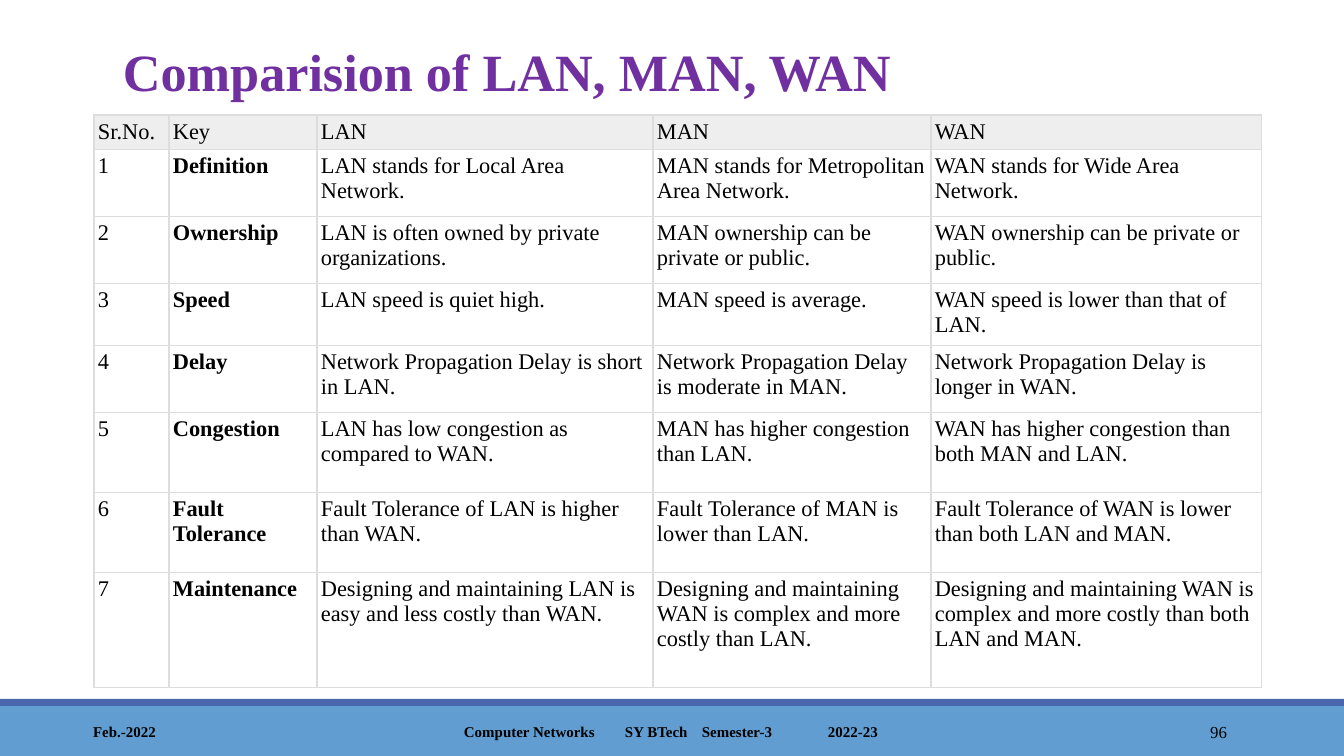
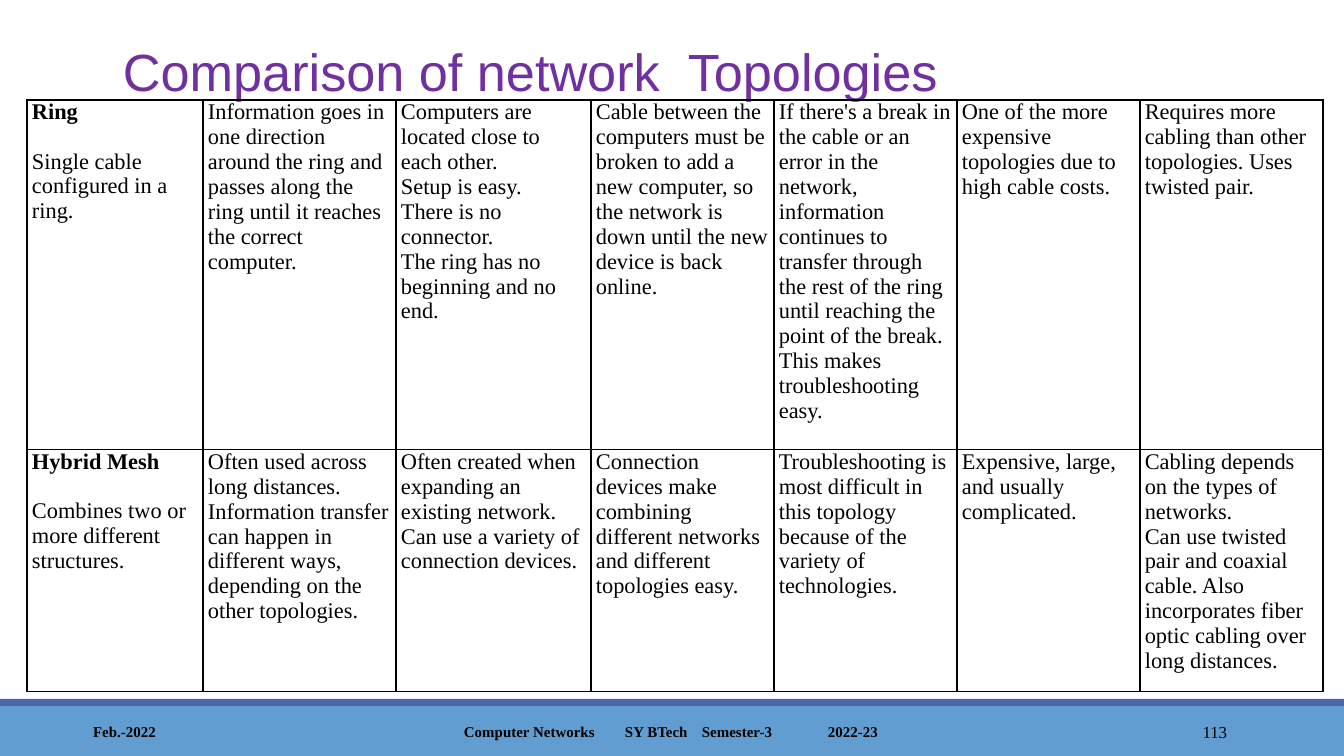
from lxml import etree
from pptx import Presentation
from pptx.dml.color import RGBColor
from pptx.enum.shapes import MSO_SHAPE
from pptx.enum.text import MSO_ANCHOR, MSO_AUTO_SIZE, PP_ALIGN
from pptx.oxml.ns import qn
from pptx.util import Emu, Pt

RECT = MSO_SHAPE.RECTANGLE
TOP, MIDDLE = MSO_ANCHOR.TOP, MSO_ANCHOR.MIDDLE
LEFT, RIGHT = PP_ALIGN.LEFT, PP_ALIGN.RIGHT
FIXED = MSO_AUTO_SIZE.NONE

SERIF, SANS = "Times New Roman", "Arial"
BLACK, PURPLE, GREY = "000000", "7030A0", "EEEEEE"
BANDS = [((0, 706, 1344, 50), "629DD1"), ((0, 699, 1344, 7), "4A66AC")]
TITLE = (114, 34, 1124, 125)
FOOT = (0, 712, 1344, 40)
STOPS = (161, 238, 364)
COURSE = "Computer Networks\tSY BTech\tSemester-3\t2022-23"

AREAS = [
    ["Sr.No.", "Key", "LAN", "MAN", "WAN"],
    ["1", "Definition", "LAN stands for Local Area Network.",
     "MAN stands for Metropolitan Area Network.",
     "WAN stands for Wide Area Network."],
    ["2", "Ownership", "LAN is often owned by private organizations.",
     "MAN ownership can be private or public.",
     "WAN ownership can be private or public."],
    ["3", "Speed", "LAN speed is quiet high.", "MAN speed is average.",
     "WAN speed is lower than that of LAN."],
    ["4", "Delay", "Network Propagation Delay is short in LAN.",
     "Network Propagation Delay is moderate in MAN.",
     "Network Propagation Delay is longer in WAN."],
    ["5", "Congestion", "LAN has low congestion as compared to WAN.",
     "MAN has higher congestion than LAN.",
     "WAN has higher congestion than both MAN and LAN."],
    ["6", "Fault Tolerance", "Fault Tolerance of LAN is higher than WAN.",
     "Fault Tolerance of MAN is lower than LAN.",
     "Fault Tolerance of WAN is lower than both LAN and MAN."],
    ["7", "Maintenance",
     "Designing and maintaining LAN is easy and less costly than WAN.",
     "Designing and maintaining WAN is complex and more costly than LAN.",
     "Designing and maintaining WAN is complex and more costly than both "
     "LAN and MAN."],
]

SHAPES = [
    ["Ring\nSingle cable configured in a ring.",
     "Information goes in one direction around the ring and passes along "
     "the ring until it reaches the correct computer.",
     "Computers are located close to each other.\nSetup is easy.\n"
     "There is no connector.\nThe ring has no beginning and no end.",
     "Cable between the computers must be broken to add a new computer, so "
     "the network is down until the new device is back online.",
     "If there's a break in the cable or an error in the network, "
     "information continues to transfer through the rest of the ring until "
     "reaching the point of the break. This makes troubleshooting easy.",
     "One of the more expensive topologies due to high cable costs.",
     "Requires more cabling than other topologies. Uses twisted pair."],
    ["Hybrid Mesh\nCombines two or more different structures.",
     "Often used across long distances. Information transfer can happen in "
     "different ways, depending on the other topologies.",
     "Often created when expanding an existing network. Can use a variety "
     "of connection devices.",
     "Connection devices make combining different networks and different "
     "topologies easy.",
     "Troubleshooting is most difficult in this topology because of the "
     "variety of technologies.",
     "Expensive, large, and usually complicated.",
     "Cabling depends on the types of networks.\nCan use twisted pair and "
     "coaxial cable. Also incorporates fiber optic cabling over long "
     "distances."],
]


def px(n):
    return Emu(round(n * 914400 / 134.4))


def hue(code):
    return RGBColor.from_string(code)


def style(para, size, face=SERIF, color=BLACK, bold=False):
    font = para.font
    font.size, font.name, font.bold = Pt(size), face, bold
    font.color.rgb = hue(color)


def inset(item, side, edge):
    item.margin_left = item.margin_right = px(side)
    item.margin_top = item.margin_bottom = px(edge)


def bands(slide, layout):
    for place, (box, color) in enumerate(BANDS, 2):
        bar = slide.shapes.add_shape(RECT, *map(px, box))
        bar.shadow.inherit = False
        bar.fill.solid()
        bar.fill.fore_color.rgb = hue(color)
        bar.line.fill.background()
        layout.shapes.element.insert(place, bar.element)


def head(slide, box, text, face, bold):
    title = slide.shapes.title
    title.left, title.top, title.width, title.height = map(px, box)
    frame = title.text_frame
    frame.text = text
    frame.auto_size = FIXED
    frame.word_wrap = True
    frame.vertical_anchor = TOP
    inset(frame, 9, 5)
    para = frame.paragraphs[0]
    para.alignment = LEFT
    style(para, 28, face, PURPLE, bold)


def label(slide, box, text, size, bold, align=LEFT):
    frame = slide.shapes.add_textbox(*map(px, box)).text_frame
    frame.word_wrap = True
    frame.vertical_anchor = MIDDLE
    inset(frame, 9, 5)
    para = frame.paragraphs[0]
    para.text = text
    para.alignment = align
    return frame, para, size, bold


def foot(slide, box, number):
    x, y, _, high = box
    date = label(slide, (x + 84, y, 302, high), "Feb.-2022", 8, True)
    course = label(slide, (x + 406, y, 532, high), COURSE, 8, True)
    page = label(slide, (x + 1092, y, 144, high), number, 9, False, RIGHT)
    frame, para = course[:2]
    frame.margin_left = px(58)
    props = para._p.get_or_add_pPr()
    tabs = etree.SubElement(props, qn("a:tabLst"))
    for stop in STOPS:
        etree.SubElement(tabs, qn("a:tab"), pos=str(px(stop)), algn="l")
    for _, para, size, bold in (date, course, page):
        style(para, size, bold=bold)


def border(cell, color, width):
    props = cell._tc.get_or_add_tcPr()
    for side in "LRTB":
        line = etree.SubElement(props, qn("a:ln" + side), w=str(Pt(width)))
        fill = etree.SubElement(line, qn("a:solidFill"))
        etree.SubElement(fill, qn("a:srgbClr"), val=color)


def grid(slide, spot, cols, rows, data, edge, pad, key, header=False):
    box = (*spot, sum(cols), sum(rows))
    table = slide.shapes.add_table(len(rows), len(cols), *map(px, box)).table
    table.first_row = table.horz_banding = False
    for col, width in zip(table.columns, cols):
        col.width = px(width)
    for r, (row, high) in enumerate(zip(table.rows, rows)):
        row.height = px(high)
        top = header and r == 0
        for c, cell in enumerate(row.cells):
            border(cell, *edge)
            if top:
                cell.fill.solid()
                cell.fill.fore_color.rgb = hue(GREY)
            else:
                cell.fill.background()
            cell.vertical_anchor = MIDDLE if top else TOP
            inset(cell, *pad)
            cell.text = data[r][c]
            for n, para in enumerate(cell.text_frame.paragraphs):
                lead = c == key and not top
                style(para, 12, bold=lead and n == 0)
                if lead and n:
                    para.space_before = Pt(13)


def main():
    deck = Presentation()
    deck.slide_width, deck.slide_height = px(1344), px(756)
    layout = deck.slide_layouts[5]

    areas = deck.slides.add_slide(layout)
    bands(areas, layout)
    head(areas, TITLE, "Comparision of LAN, MAN, WAN", SERIF, True)
    foot(areas, FOOT, "96")
    grid(areas, (94, 115), (75, 148, 336, 278, 331),
         (32, 67, 67, 57, 67, 80, 80, 115), AREAS,
         ("DDDDDD", 0.75), (4, 4), 1, True)

    forms = deck.slides.add_slide(layout)
    head(forms, TITLE, "Comparison of network  Topologies", SANS, False)
    foot(forms, FOOT, "113")
    grid(forms, (27, 100), (176, 193, 195, *[183] * 4), (349, 242), SHAPES,
         (BLACK, 1), (5, 0), 0)

    deck.save("out.pptx")


if __name__ == "__main__":
    main()
